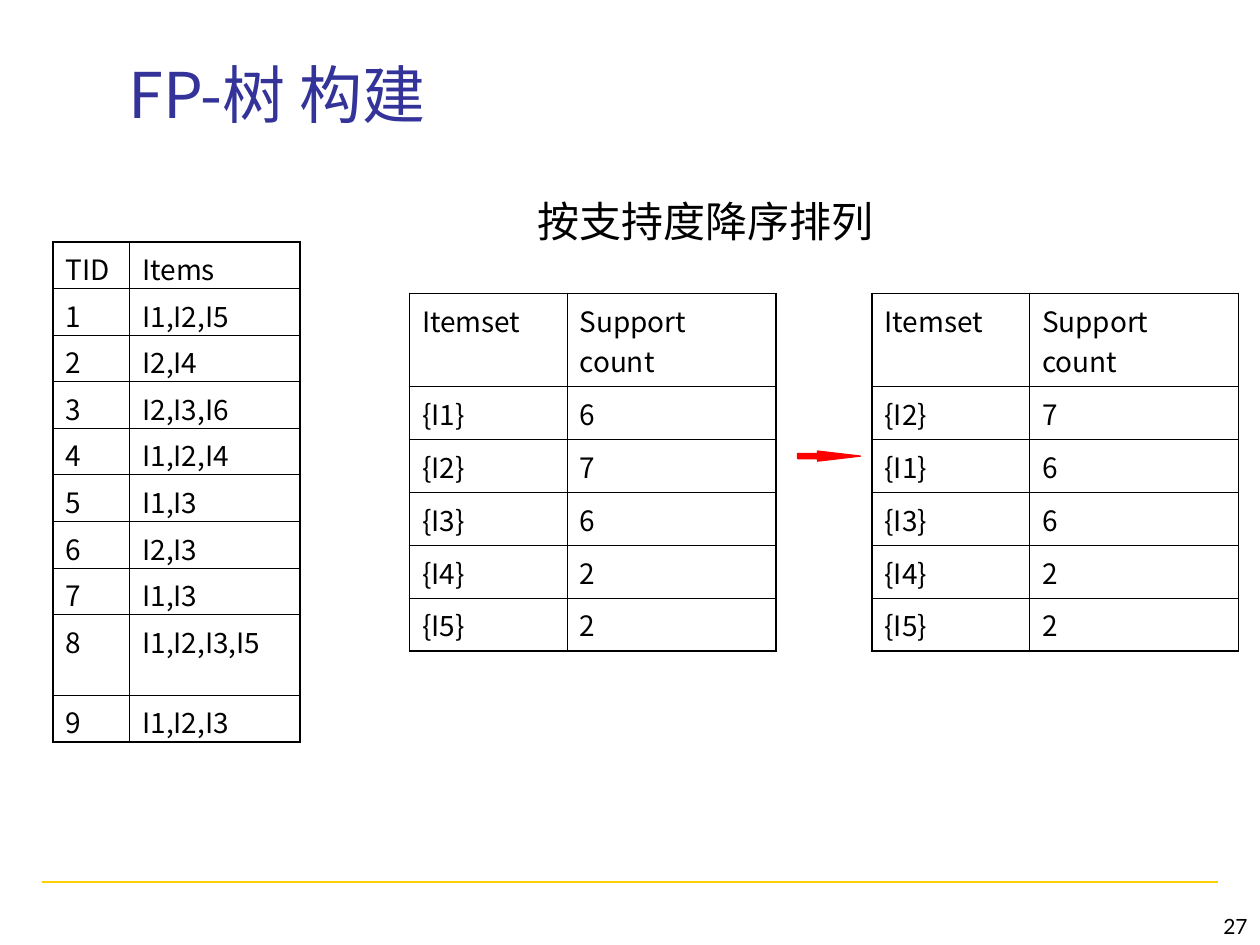
"""Build the FP-tree construction slide with its transaction and support tables."""
from dataclasses import dataclass

from lxml import etree
from pptx import Presentation
from pptx.dml.color import RGBColor
from pptx.enum import shapes, text
from pptx.oxml import ns
from pptx.util import Inches, Pt

BLACK = RGBColor(0x00, 0x00, 0x00)
INDIGO = RGBColor(0x33, 0x33, 0x99)
GOLD = RGBColor(0xFF, 0xCF, 0x01)
RED = RGBColor(0xFF, 0x00, 0x00)
CJK = "Noto Sans CJK SC"
LATIN = "Lato"
INNER, OUTER = Pt(0.45), Pt(1.08)


@dataclass(frozen=True)
class Grid:
    left: float
    top: float
    widths: tuple[float, ...]
    rows: tuple[tuple[str, str], ...]
    row_height: float
    tall_row: int
    tall_height: float
    bottom_inset: float


def itemset_grid(left: float, supports: dict[str, int]) -> Grid:
    rows = (("Itemset", "Support count"),) + tuple(
        (f"{{{item}}}", str(count)) for item, count in supports.items()
    )
    return Grid(left, 2.33, (1.25, 1.66), rows, 0.42, 0, 0.74, 0.05)


TRANSACTIONS = (
    "I1,I2,I5", "I2,I4", "I2,I3,I6", "I1,I2,I4", "I1,I3",
    "I2,I3", "I1,I3", "I1,I2,I3,I5", "I1,I2,I3",
)
SUPPORTS = {"I1": 6, "I2": 7, "I3": 6, "I4": 2, "I5": 2}
RANKED = dict(sorted(SUPPORTS.items(), key=lambda pair: -pair[1]))
GRIDS = (
    itemset_grid(3.25, SUPPORTS),
    itemset_grid(6.92, RANKED),
    Grid(
        0.42, 1.92, (0.61, 1.35),
        (("TID", "Items"),)
        + tuple((str(tid), items) for tid, items in enumerate(TRANSACTIONS, 1)),
        0.37, 8, 0.64, 0,
    ),
)


def write(frame, words: str, *, size: float, font: str = CJK,
          color: RGBColor = BLACK, align=text.PP_ALIGN.LEFT) -> None:
    paragraph = frame.paragraphs[0]
    paragraph.alignment = align
    run = paragraph.add_run()
    run.text = words
    run.font.size = Pt(size)
    run.font.name = font
    run.font.color.rgb = color
    east_asian = etree.SubElement(run.font._element, ns.qn("a:ea"))
    east_asian.set("typeface", CJK)


def add_label(slide, words: str, left: float, top: float, width: float,
              height: float, *, anchor=text.MSO_ANCHOR.TOP, **style) -> None:
    label = slide.shapes.add_textbox(
        Inches(left), Inches(top), Inches(width), Inches(height)
    )
    label.text_frame.word_wrap = True
    label.text_frame.vertical_anchor = anchor
    write(label.text_frame, words, **style)


def add_border(cell, side: str, width: int) -> None:
    border = etree.SubElement(
        cell._tc.get_or_add_tcPr(), ns.qn(f"a:ln{side}"), w=str(width)
    )
    fill = etree.SubElement(border, ns.qn("a:solidFill"))
    etree.SubElement(fill, ns.qn("a:srgbClr"), val=str(BLACK))


def add_grid(slide, grid: Grid) -> None:
    heights = [
        grid.tall_height if r == grid.tall_row else grid.row_height
        for r in range(len(grid.rows))
    ]
    table = slide.shapes.add_table(
        len(grid.rows), len(grid.widths), Inches(grid.left), Inches(grid.top),
        Inches(sum(grid.widths)), Inches(sum(heights)),
    ).table
    table.first_row = table.horz_banding = False
    for column, width in zip(table.columns, grid.widths):
        column.width = Inches(width)
    last_row, last_column = len(grid.rows) - 1, len(grid.widths) - 1
    for r, (height, entries) in enumerate(zip(heights, grid.rows)):
        table.rows[r].height = Inches(height)
        for c, entry in enumerate(entries):
            cell = table.cell(r, c)
            cell.margin_bottom = Inches(grid.bottom_inset)
            edges = {"L": c == 0, "R": c == last_column,
                     "T": r == 0, "B": r == last_row}
            for side, is_outer in edges.items():
                add_border(cell, side, OUTER if is_outer else INNER)
            cell.fill.background()
            write(cell.text_frame, entry, size=16)


def add_footer_rule(slide) -> None:
    rule = slide.shapes.add_connector(
        shapes.MSO_CONNECTOR.STRAIGHT,
        Inches(0.33), Inches(7), Inches(9.67), Inches(7),
    )
    rule.line.color.rgb = GOLD
    rule.line.width = Pt(1.5)
    etree.SubElement(rule._element.spPr, ns.qn("a:effectLst"))


def add_sort_arrow(slide) -> None:
    arrow = slide.shapes.add_shape(
        shapes.MSO_SHAPE.RIGHT_ARROW,
        Inches(6.33), Inches(3.58), Inches(0.5), Inches(0.08),
    )
    arrow.adjustments[0] = 0.5
    arrow.adjustments[1] = 4.26
    arrow.shadow.inherit = False
    arrow.fill.solid()
    arrow.fill.fore_color.rgb = RED
    arrow.line.color.rgb = RED
    arrow.line.width = Pt(0.75)


def main() -> None:
    deck = Presentation()
    deck.slide_width, deck.slide_height = Inches(10), Inches(7.5)
    slide = deck.slides.add_slide(deck.slide_layouts[6])
    add_footer_rule(slide)
    add_label(slide, "27", 7.92, 7.08, 2.08, 0.42, size=12, font=LATIN,
              anchor=text.MSO_ANCHOR.BOTTOM, align=text.PP_ALIGN.RIGHT)
    add_label(slide, "FP-树 构建", 0.92, 0.42, 8.52, 0.67, size=36, color=INDIGO,
              anchor=text.MSO_ANCHOR.BOTTOM)
    add_label(slide, "按支持度降序排列", 4.17, 1.5, 3, 0.5, size=24, font=LATIN)
    for grid in GRIDS:
        add_grid(slide, grid)
    add_sort_arrow(slide)
    deck.save("out.pptx")


if __name__ == "__main__":
    main()
